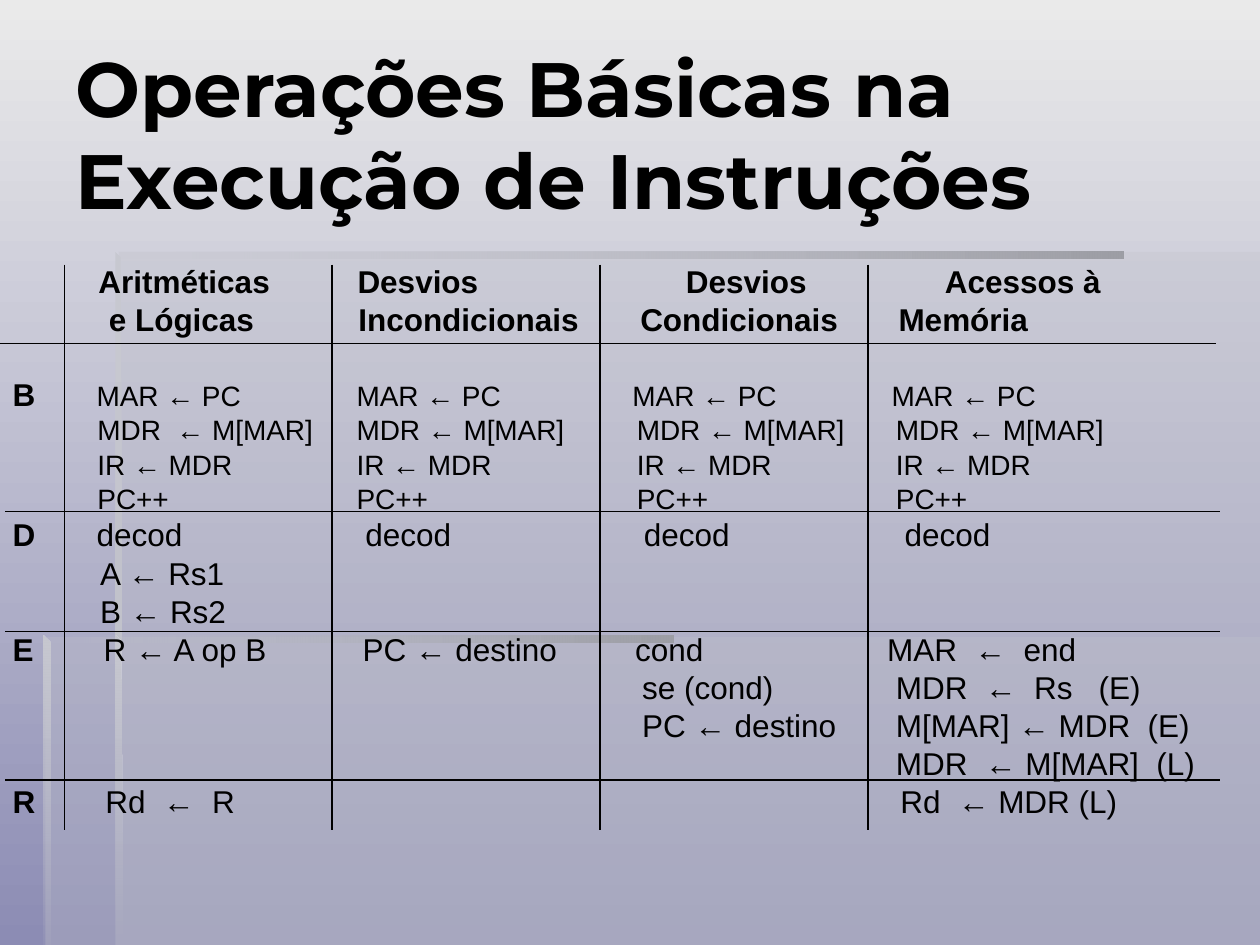
from lxml.etree import SubElement
from pptx import Presentation
from pptx.dml.color import RGBColor
from pptx.enum.shapes import MSO_CONNECTOR
from pptx.enum.text import MSO_ANCHOR, PP_ALIGN
from pptx.oxml.ns import qn
from pptx.util import Pt

THEME = {
    "ink": "000000", "sky": ("EAEAEA", "8C8CB4"),
    "panel": "C1C2CB", "bar": "9D9EA5", "edge": "C7C8D0",
    "title_font": "Montserrat", "body_font": "Arial",
    "title": 44, "body": 18, "small": 16,
    "pitch": {18: 21.8, 16: 19.6}, "rule": 0.75,
    "plain_table": "{2D5ABB26-0587-4C30-8999-92F81FD0307C}",
}

TITLE = "Operações Básicas na Execução de Instruções"
FETCH = ["MAR ← PC", "MDR ← M[MAR]", "IR ← MDR", "PC++"]
FETCH_WIDE = ["MAR ← PC", "MDR  ← M[MAR]", "IR ← MDR", "PC++"]

# Each cell: indent of its first line, indent of the other lines, lines
ROWS = [
    {"label": "", "top": 0, "size": "body", "bold": True, "cells": [
        (19.5, 25.5, ["Aritméticas", "e Lógicas"]),
        (14.5, 15, ["Desvios", "Incondicionais"]),
        (49, 23, ["Desvios", "Condicionais"]),
        (44, 17.5, ["Acessos à", "Memória"])]},
    {"label": "B", "top": 22.7, "size": "small", "bold": False, "cells": [
        (18.5, 19, FETCH_WIDE), (14, 14, FETCH), (18.5, 21, FETCH), (13.5, 16, FETCH)]},
    {"label": "D", "top": 0, "size": "body", "bold": False, "cells": [
        (18.5, 20.5, ["decod", "A ← Rs1", "B ← Rs2"]),
        (19, 19, ["decod"]), (25, 25, ["decod"]), (21, 21, ["decod"])]},
    {"label": "E", "top": 0, "size": "body", "bold": False, "cells": [
        (22.5, 22.5, ["R ← A op B"]),
        (17.5, 17.5, ["PC ← destino"]),
        (20, 24, ["cond", "se (cond)", "PC ← destino"]),
        (11, 16, ["MAR  ←  end", "MDR  ←  Rs   (E)",
                  "M[MAR] ← MDR  (E)", "MDR  ← M[MAR]  (L)"])]},
    {"label": "R", "top": 0, "size": "body", "bold": False, "cells": [
        (23.5, 23.5, ["Rd  ←  R"]), (0, 0, []), (0, 0, []),
        (18.5, 18.5, ["Rd  ← MDR (L)"])]},
]
COLUMN_WIDTHS = [36.7, 153.1, 153.1, 153.1, 200.4]
TABLE_TOP = 149.8
LABEL_INDENT = 7.2

RULE_TOP, RULE_BOTTOM = 151.2, 474.5
# Each row rule: left end, right end, height
ROW_RULES = [(0, 694.8, 196.4), (2.9, 697, 292.5), (2.9, 697, 360.7), (2.9, 697, 445.7)]

# Each decoration: outline, colours, opacities in percent, gradient angle
DECORATIONS = [
    ([(66, 364), (66, 540), (720, 540), (720, 364)], ["panel"], [30], None),
    ([(68, 364), (26, 364), (26, 540), (720, 540), (720, 144), (68, 144)],
     ["panel"], [30], None),
    ([(66, 144), (66, 148), (642, 148), (642, 144)], ["bar", "panel"], [100, 0], 180),
    ([(66, 144), (66, 367), (70, 367), (69, 147)], ["edge", "panel"], [100, 100], 270),
    ([(66, 540), (70, 540), (69, 366), (66, 363)], ["edge", "panel"], [100, 0], 270),
    ([(25, 363), (25, 367), (385, 367), (385, 363)], ["bar", "panel"], [100, 0], 180),
    ([(25, 363), (25, 540), (29, 540), (29, 367)], ["edge", "panel"], [100, 10], 270),
]


def rgb(value):
    return RGBColor.from_string(value)


def paint_gradient(fill, colours, angle):
    fill.gradient()
    fill.gradient_angle = angle
    for stop, colour in zip(fill.gradient_stops, colours):
        stop.color.rgb = rgb(colour)


def add_decoration(slide, outline, names, opacities, angle):
    corners = [(Pt(x), Pt(y)) for x, y in outline]
    builder = slide.shapes.build_freeform(*corners[0])
    builder.add_line_segments(corners[1:], close=True)
    panel = builder.convert_to_shape()
    panel.shadow.inherit = False
    colours = [THEME[name] for name in names]
    if angle is None:
        panel.fill.solid()
        panel.fill.fore_color.rgb = rgb(colours[0])
    else:
        paint_gradient(panel.fill, colours, angle)
    for colour, opacity in zip(panel._element.spPr.iter(qn("a:srgbClr")), opacities):
        SubElement(colour, qn("a:alpha"), val=str(opacity * 1000))
    panel.line.fill.background()


def style(paragraph, font_name, size, bold):
    paragraph.alignment = PP_ALIGN.LEFT
    paragraph.font.name = font_name
    paragraph.font.size = Pt(size)
    paragraph.font.bold = bold
    paragraph.font.color.rgb = rgb(THEME["ink"])


def fill_cell(cell, content, size, bold, top):
    first, rest, lines = content
    cell.margin_left = cell.margin_right = cell.margin_bottom = 0
    cell.margin_top = Pt(top)
    cell.vertical_anchor = MSO_ANCHOR.TOP
    cell.fill.background()
    cell.text = "\n".join(lines)
    for index, paragraph in enumerate(cell.text_frame.paragraphs):
        style(paragraph, THEME["body_font"], size, bold)
        paragraph.line_spacing = Pt(THEME["pitch"][size])
        indent = rest if index else first
        paragraph._p.get_or_add_pPr().set("marL", str(Pt(indent)))


def row_height(row):
    line_count = max(len(lines) for _, _, lines in row["cells"])
    return row["top"] + line_count * THEME["pitch"][THEME[row["size"]]]


def add_operations(slide):
    heights = [row_height(row) for row in ROWS]
    operations = slide.shapes.add_table(
        len(ROWS), len(COLUMN_WIDTHS), 0, Pt(TABLE_TOP),
        Pt(sum(COLUMN_WIDTHS)), Pt(sum(heights))).table
    operations.first_row = operations.horz_banding = False
    operations._tbl.tblPr.find(qn("a:tableStyleId")).text = THEME["plain_table"]
    for column, width in zip(operations.columns, COLUMN_WIDTHS):
        column.width = Pt(width)
    for r, row in enumerate(ROWS):
        operations.rows[r].height = Pt(heights[r])
        label = (LABEL_INDENT, LABEL_INDENT, [row["label"]])
        for c, content in enumerate([label] + row["cells"]):
            size = THEME["body" if c == 0 else row["size"]]
            top = max(row["top"] - 2, 0) if c == 0 else row["top"]
            fill_cell(operations.cell(r, c), content, size, c == 0 or row["bold"], top)


def add_rule(slide, *ends):
    rule = slide.shapes.add_connector(MSO_CONNECTOR.STRAIGHT, *[Pt(end) for end in ends])
    rule.line.color.rgb = rgb(THEME["ink"])
    rule.line.width = Pt(THEME["rule"])
    SubElement(rule._element.spPr, qn("a:effectLst"))


def add_rules(slide):
    for c in range(1, len(COLUMN_WIDTHS)):
        x = sum(COLUMN_WIDTHS[:c])
        add_rule(slide, x, RULE_TOP, x, RULE_BOTTOM)
    for left, right, y in ROW_RULES:
        add_rule(slide, left, y, right, y)


def add_title(slide):
    title = slide.shapes.title
    title.left, title.top, title.width, title.height = Pt(36), Pt(19.2), Pt(660), Pt(113)
    title.text_frame.text = TITLE
    title.text_frame.word_wrap = True
    title.text_frame.vertical_anchor = MSO_ANCHOR.MIDDLE
    style(title.text_frame.paragraphs[0], THEME["title_font"], THEME["title"], True)
    slide.shapes._spTree.append(title._element)


def main():
    deck = Presentation()
    deck.slide_width, deck.slide_height = Pt(720), Pt(540)
    slide = deck.slides.add_slide(deck.slide_layouts[5])
    paint_gradient(slide.background.fill, THEME["sky"], 270)
    for decoration in DECORATIONS:
        add_decoration(slide, *decoration)
    add_title(slide)
    add_operations(slide)
    add_rules(slide)
    deck.save("out.pptx")


if __name__ == "__main__":
    main()
